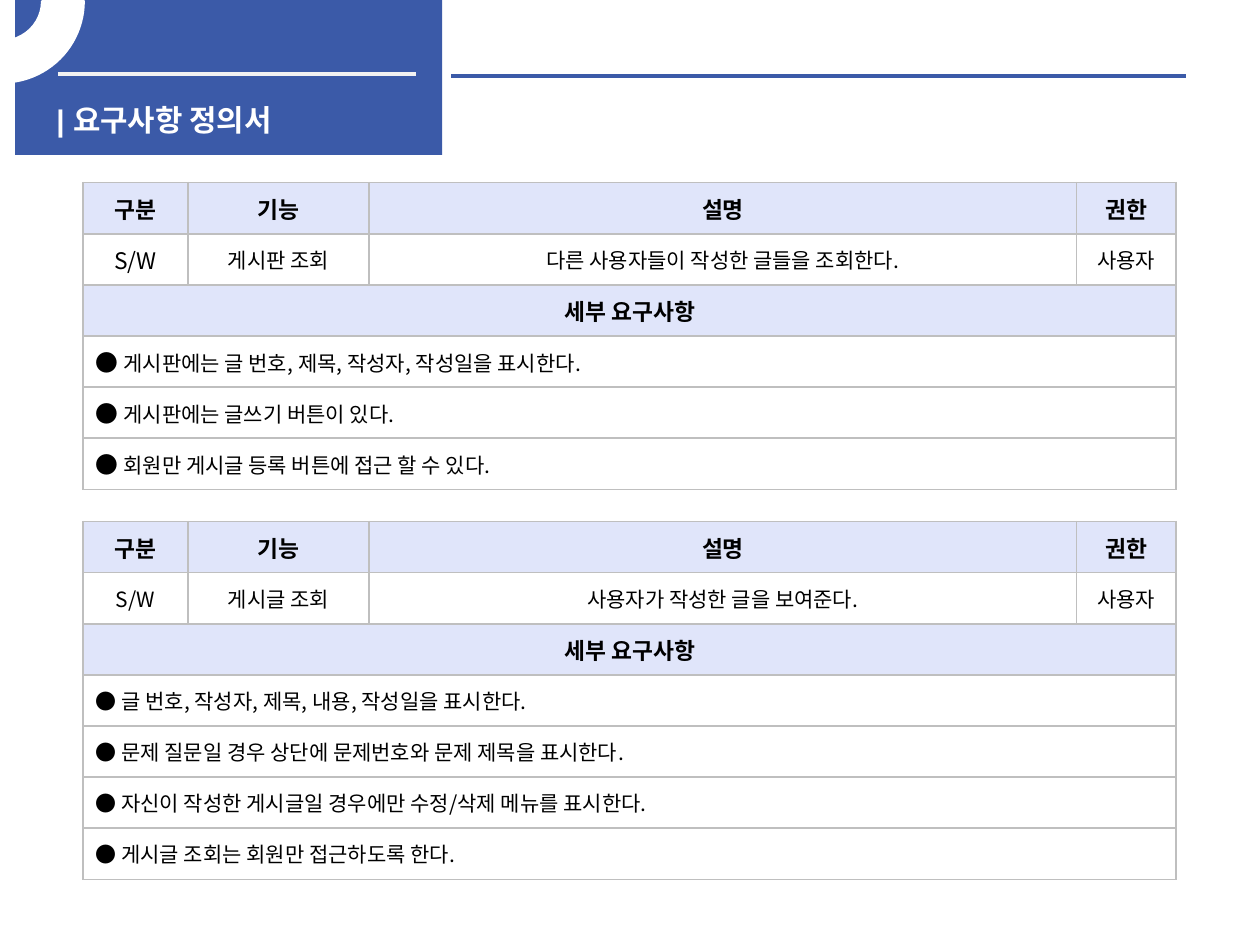
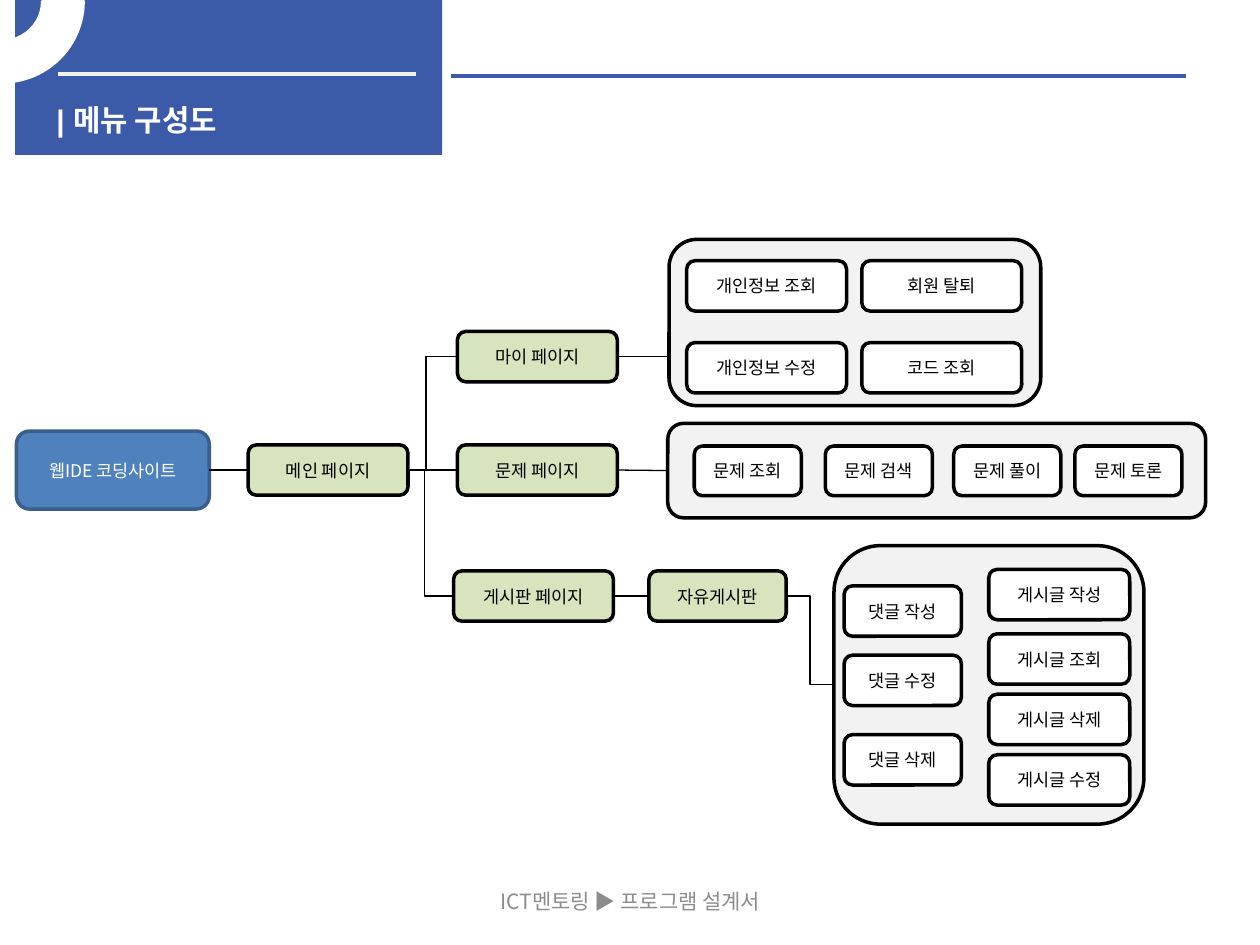
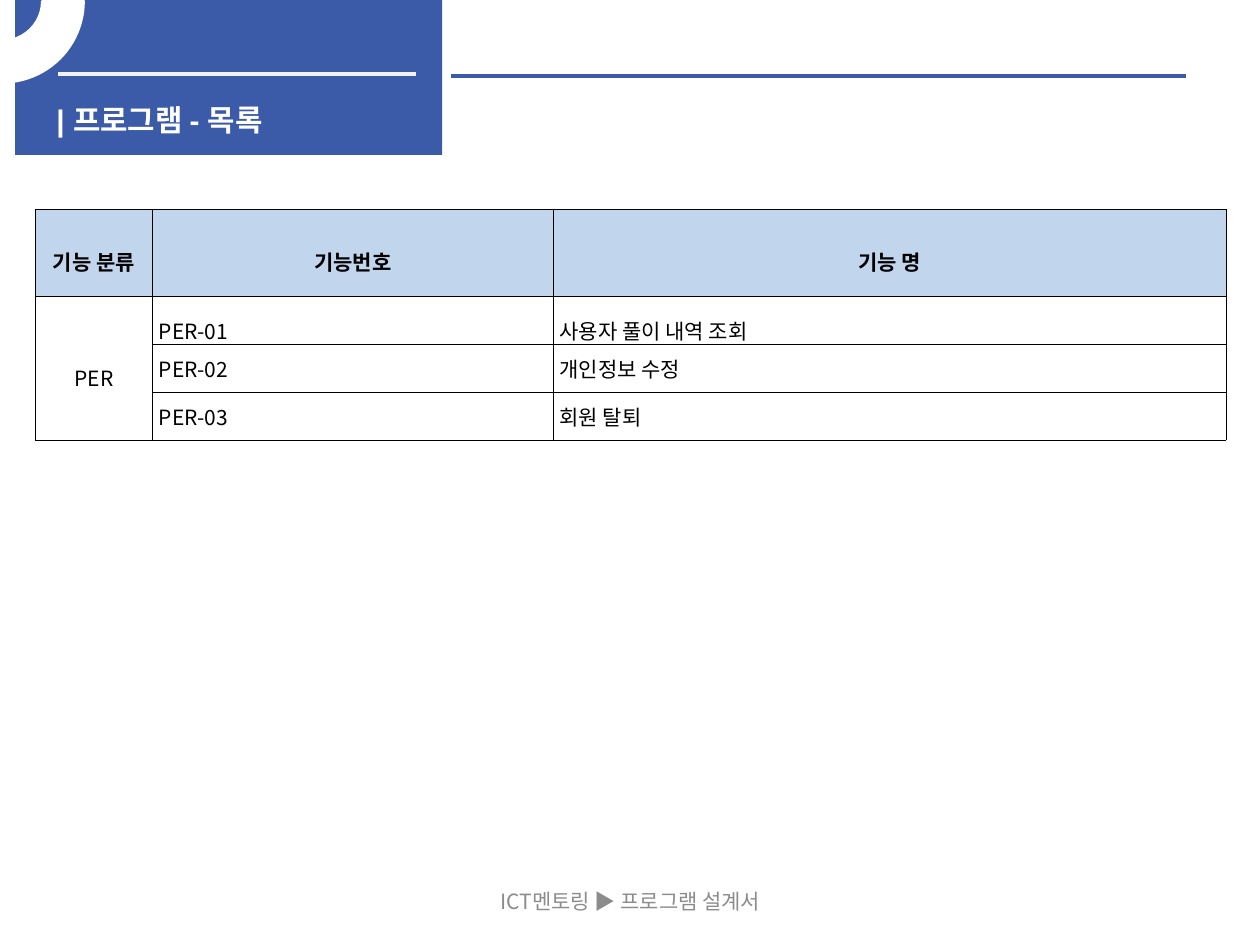
from lxml import etree
from pptx import Presentation
from pptx.dml.color import RGBColor
from pptx.enum.shapes import MSO_CONNECTOR, MSO_SHAPE
from pptx.enum.text import MSO_ANCHOR, PP_ALIGN
from pptx.oxml.ns import qn
from pptx.util import Pt

STRAIGHT, ELBOW = MSO_CONNECTOR.STRAIGHT, MSO_CONNECTOR.ELBOW
RECTANGLE, ROUNDED, ARC = MSO_SHAPE.RECTANGLE, MSO_SHAPE.ROUNDED_RECTANGLE, MSO_SHAPE.BLOCK_ARC
LEFT, CENTER, JUSTIFY = PP_ALIGN.LEFT, PP_ALIGN.CENTER, PP_ALIGN.JUSTIFY
MIDDLE = MSO_ANCHOR.MIDDLE
SIDE_LEFT, SIDE_RIGHT = 1, 3

BODY_FONT, TITLE_FONT = "Noto Sans CJK KR", "Arial"
BLUE, WHITE, BLACK, PALE, GREEN = "3B5AA8", "FFFFFF", "000000", "F2F2F2", "D7E4BD"
FOOTER = "ICT멘토링 ▶ 프로그램 설계서"
BOX_HEIGHT = 28.8


def color(value):
    return RGBColor.from_string(value)


class Deck:
    def __init__(self):
        self.deck = Presentation()
        self.deck.slide_width, self.deck.slide_height = Pt(720), Pt(540)
        self.page = None

    def start_page(self, title, footer=None):
        self.page = self.deck.slides.add_slide(self.deck.slide_layouts[6])
        self.shape(RECTANGLE, 8.6, 0, 244.1, 88.6, BLUE)
        self.line((33.1, 42.5), (237.6, 42.5), PALE, 2.25)
        self.line((257.8, 43.2), (677.5, 43.2), BLUE, 2.25)
        self.label(title, 25.2, 54.7, 221, 23, 17, WHITE, font=TITLE_FONT, bold=True)
        ring = self.shape(ARC, -45.4, -45.4, 92.9, 92.2, WHITE, WHITE)
        ring.adjustments[0] = 96.95
        ring._element.spPr.xfrm.set("flipV", "1")
        if footer:
            self.label(footer, 246.2, 500.4, 228.2, 28.8, 12, "8C8C8C", CENTER, MIDDLE)

    def style(self, para, size, ink, align=LEFT, font=BODY_FONT, bold=False):
        para.alignment = align
        para.font.size, para.font.bold, para.font.name = Pt(size), bold, font
        para.font.color.rgb = color(ink)
        defaults = para._p.pPr.find(qn("a:defRPr"))
        etree.SubElement(defaults, qn("a:ea"), typeface=BODY_FONT)

    def label(self, text, left, top, width, height, size, ink, align=LEFT, anchor=None, **look):
        box = self.page.shapes.add_textbox(Pt(left), Pt(top), Pt(width), Pt(height))
        frame = box.text_frame
        frame.word_wrap, frame.vertical_anchor = True, anchor
        frame.text = text
        self.style(frame.paragraphs[0], size, ink, align, **look)

    def shape(self, kind, left, top, width, height, fill, outline=None):
        shape = self.page.shapes.add_shape(kind, Pt(left), Pt(top), Pt(width), Pt(height))
        shape.shadow.inherit = False
        shape.fill.solid()
        shape.fill.fore_color.rgb = color(fill)
        if outline:
            shape.line.color.rgb = color(outline)
            shape.line.width = Pt(2)
        else:
            shape.line.fill.background()
        return shape

    def node(self, text, left, top, width, height=BOX_HEIGHT, fill=WHITE, outline=BLACK, ink=BLACK):
        node = self.shape(ROUNDED, left, top, width, height, fill, outline)
        frame = node.text_frame
        frame.word_wrap, frame.vertical_anchor = True, MIDDLE
        frame.text = text
        self.style(frame.paragraphs[0], 10, ink, CENTER)
        return node

    def panel(self, left, top, width, height):
        return self.shape(ROUNDED, left, top, width, height, PALE, BLACK)

    def line(self, start, end, ink=BLACK, width=0.75, kind=STRAIGHT):
        points = [Pt(value) for value in (*start, *end)]
        line = self.page.shapes.add_connector(kind, *points)
        line.line.color.rgb = color(ink)
        line.line.width = Pt(width)
        etree.SubElement(line._element.spPr, qn("a:effectLst"))
        return line

    def link(self, begin, end, bend=None):
        line = self.line((0, 0), (0, 0), kind=ELBOW if bend else STRAIGHT)
        line.begin_connect(begin, SIDE_RIGHT)
        line.end_connect(end, SIDE_LEFT)
        if bend:
            guides = line._element.spPr.prstGeom.get_or_add_avLst()
            etree.SubElement(guides, qn("a:gd"), name="adj1", fmla=f"val {round(bend * 100000)}")

    def table(self, left, top, widths, heights, border, border_width):
        frame = self.page.shapes.add_table(
            len(heights), len(widths), Pt(left), Pt(top), Pt(sum(widths)), Pt(sum(heights)))
        table = frame.table
        table.first_row = table.horz_banding = False
        for column, width in zip(table.columns, widths):
            column.width = Pt(width)
        for row, height in zip(table.rows, heights):
            row.height = Pt(height)
        for cell in table.iter_cells():
            properties = cell._tc.get_or_add_tcPr()
            for side in ("lnL", "lnR", "lnT", "lnB"):
                edge = etree.SubElement(properties, qn(f"a:{side}"), w=str(Pt(border_width)))
                paint = etree.SubElement(edge, qn("a:solidFill"))
                etree.SubElement(paint, qn("a:srgbClr"), val=border)
            cell.fill.background()
        return table

    def cell(self, cell, text, size=12, align=CENTER, fill=None, bold=False):
        cell.vertical_anchor = MIDDLE
        if fill:
            cell.fill.solid()
            cell.fill.fore_color.rgb = color(fill)
        para = cell.text_frame.paragraphs[0]
        para.add_run().text = text
        self.style(para, size, BLACK, align, bold=bold)
        return para

    def requirements(self, top, summary, details, code_size, bullet_size):
        heading = {"size": 13, "fill": "E0E5FA", "bold": True}
        table = self.table(47.5, top, (59.8, 103.7, 404.2, 56.9),
                           [29.2] * (3 + len(details)), "BFBFBF", 1)
        for column, text in enumerate(("구분", "기능", "설명", "권한")):
            self.cell(table.cell(0, column), text, **heading)
        for column, text in enumerate(("S/W", *summary, "사용자")):
            self.cell(table.cell(1, column), text, 12 if column else code_size)
        for row in range(2, 3 + len(details)):
            table.cell(row, 0).merge(table.cell(row, 3))
        self.cell(table.cell(2, 0), "세부 요구사항", **heading)
        for row, text in enumerate(details, 3):
            para = self.cell(table.cell(row, 0), "● ", align=JUSTIFY)
            para.runs[0].font.size = Pt(bullet_size)
            para.add_run().text = text


def requirements_page(deck):
    deck.start_page("| 요구사항 정의서")
    deck.requirements(104.4, ("게시판 조회", "다른 사용자들이 작성한 글들을 조회한다."), (
        "게시판에는 글 번호, 제목, 작성자, 작성일을 표시한다.",
        "게시판에는 글쓰기 버튼이 있다.",
        "회원만 게시글 등록 버튼에 접근 할 수 있다.",
    ), 13, 13)
    deck.requirements(298.1, ("게시글 조회", "사용자가 작성한 글을 보여준다."), (
        "글 번호, 작성자, 제목, 내용, 작성일을 표시한다.",
        "문제 질문일 경우 상단에 문제번호와 문제 제목을 표시한다.",
        "자신이 작성한 게시글일 경우에만 수정/삭제 메뉴를 표시한다.",
        "게시글 조회는 회원만 접근하도록 한다.",
    ), 12, 12)


def menu_page(deck):
    deck.start_page("| 메뉴 구성도", FOOTER)
    site = deck.node("웹IDE 코딩사이트", 9.4, 246.3, 110.2, 44.6, "4F81BD", "3A5F8C", WHITE)
    main_page, problem_page, my_page, board_page, free_board = [
        deck.node(text, left, top, width, fill=GREEN) for text, left, top, width in (
            ("메인 페이지", 141.8, 254.2, 91.4),
            ("문제 페이지", 261.4, 254.2, 91.4),
            ("마이 페이지", 261.4, 189.4, 91.4),
            ("게시판 페이지", 259.2, 326.2, 91.4),
            ("자유게시판", 370.8, 326.2, 78.5),
        )]

    deck.panel(382.3, 136.8, 212.4, 95)
    my_menus = ("개인정보 조회", "회원 탈퇴"), ("개인정보 수정", "코드 조회")
    for row, menus in enumerate(my_menus):
        for column, text in enumerate(menus):
            deck.node(text, 392.4 + 100.1 * column, 149 + 46.8 * row, 91.4)

    problem_panel = deck.panel(381.6, 241.9, 307.4, 54)
    for text, left in (("문제 조회", 396.7), ("문제 검색", 471.6),
                       ("문제 풀이", 545), ("문제 토론", 614.2)):
        deck.node(text, left, 254.9, 61.2, 28.4)

    board_panel = deck.panel(476.6, 311.8, 177.1, 159.1)
    for text, top in (("게시글 작성", 325.4), ("게시글 조회", 362.2),
                      ("게시글 삭제", 396.7), ("게시글 수정", 431.3)):
        deck.node(text, 565, top, 80.6)
    for text, top in (("댓글 작성", 334.8), ("댓글 수정", 374.4), ("댓글 삭제", 419.8)):
        deck.node(text, 482.4, top, 67)

    deck.link(site, main_page)
    deck.link(main_page, problem_page)
    deck.link(main_page, my_page, 0.36)
    deck.link(main_page, board_page, 0.36)
    deck.link(problem_page, problem_panel)
    deck.link(board_page, free_board)
    deck.link(free_board, board_panel, 0.5)
    deck.line((352.8, 203.8), (382.3, 203.8)).begin_connect(my_page, SIDE_RIGHT)


def program_page(deck):
    deck.start_page("| 프로그램 - 목록", FOOTER)
    table = deck.table(20.2, 119.5, (67, 229, 384.5), (49.7, 27.4, 27.4, 27.4), BLACK, 0.28)
    for cell in table.iter_cells():
        cell.margin_left = cell.margin_right = Pt(3.6)
        cell.margin_top = cell.margin_bottom = Pt(0.72)
    table.cell(1, 0).merge(table.cell(3, 0))
    spaced = [deck.cell(table.cell(0, column), text, fill="C1D6ED", bold=True)
              for column, text in enumerate(("기능 분류", "기능번호", "기능 명"))]
    spaced.append(deck.cell(table.cell(1, 0), "PER"))
    for row, name in enumerate(("사용자 풀이 내역 조회", "개인정보 수정", "회원 탈퇴"), 1):
        paras = [deck.cell(table.cell(row, column), text, align=JUSTIFY)
                 for column, text in ((1, f"PER-{row:02}"), (2, name))]
        if row == 1:
            spaced += paras
    for para in spaced:
        para.line_spacing = 1.6


def main():
    deck = Deck()
    requirements_page(deck)
    menu_page(deck)
    program_page(deck)
    deck.deck.save("out.pptx")


if __name__ == "__main__":
    main()
